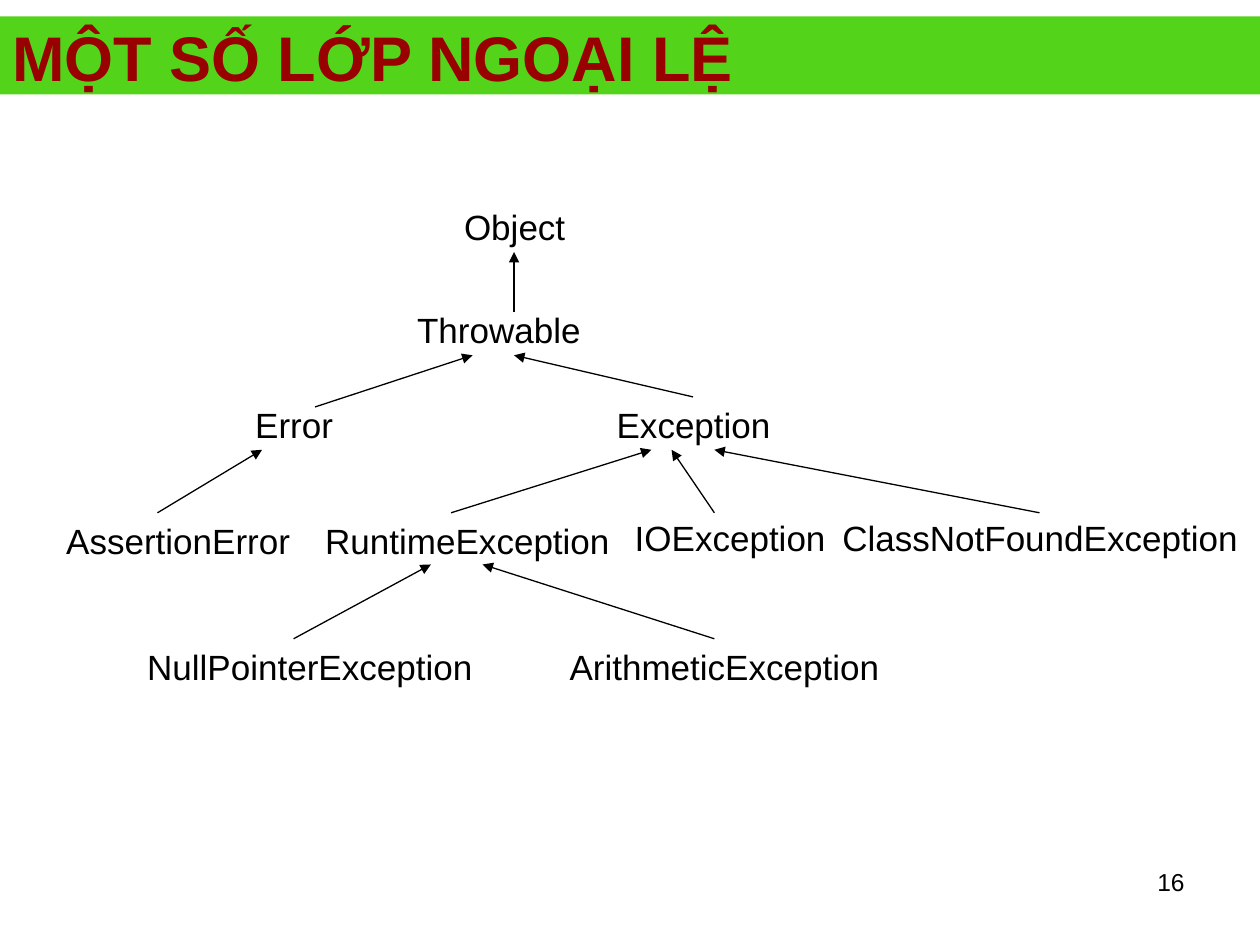
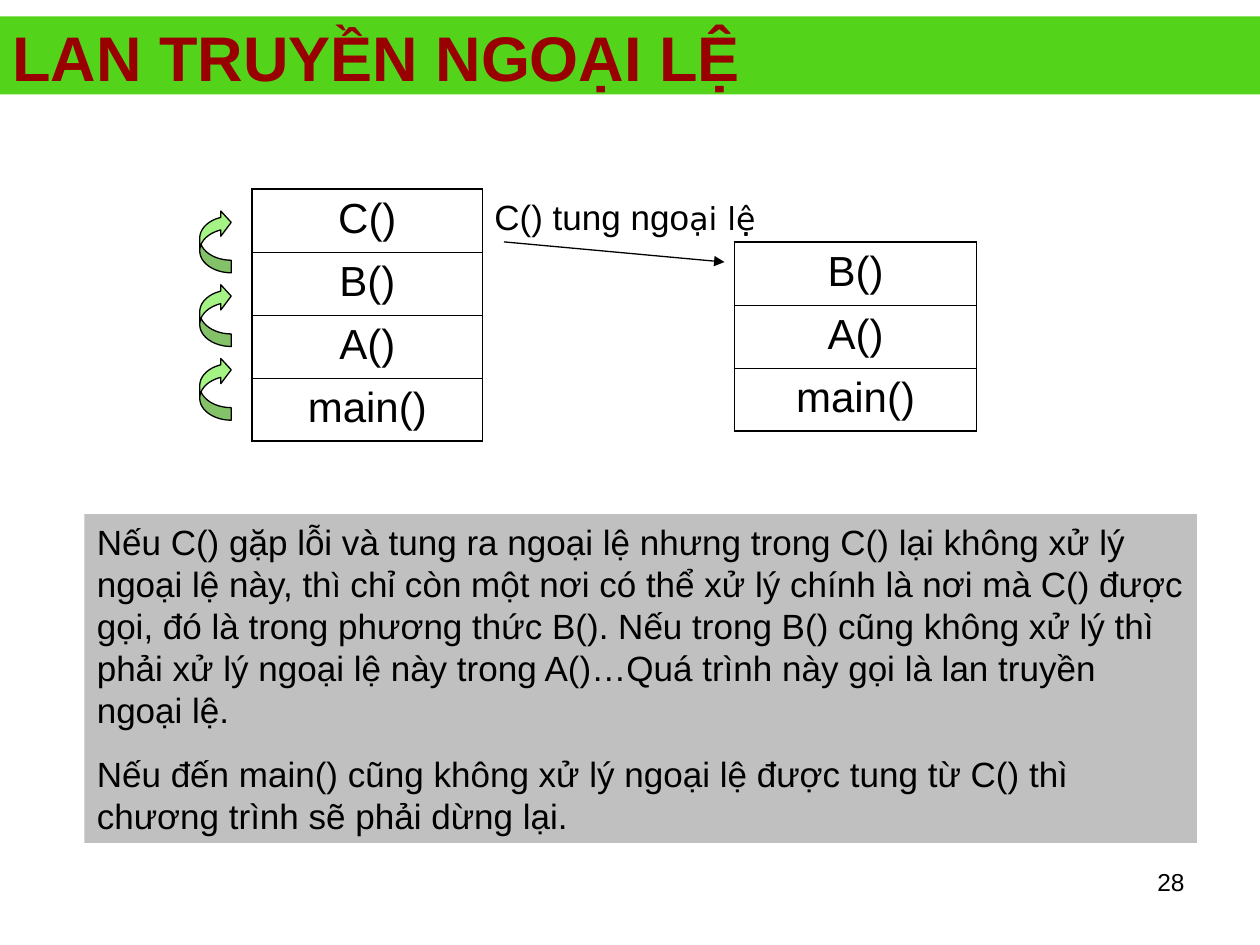
import pptx
import pptx.dml.color
import pptx.enum.shapes
import pptx.enum.text
import pptx.oxml.ns
import pptx.util
from lxml import etree
from pptx.util import Inches

SHAPE = pptx.enum.shapes.MSO_SHAPE
ALIGN = pptx.enum.text.PP_ALIGN
ANCHOR = pptx.enum.text.MSO_ANCHOR
qn = pptx.oxml.ns.qn

BLACK, GREEN, RED, GRAY, LIME = "000000", "53D41B", "990000", "C0C0C0", "A5F384"
FONT, ALT_FONT = "Arial", "DejaVu Sans"


def color(hex_text):
    return pptx.dml.color.RGBColor.from_string(hex_text)


def write(tf, *paragraphs, size=20, fill=BLACK, bold=False, align=ALIGN.LEFT,
          before=0.0, anchor=ANCHOR.TOP):
    """Each paragraph is a list of runs; a tuple marks a run in the alternate font."""
    tf.word_wrap = True
    tf.vertical_anchor = anchor
    for i, runs in enumerate(paragraphs):
        p = tf.paragraphs[0] if i == 0 else tf.add_paragraph()
        p.alignment = align
        p.space_before = pptx.util.Pt(before)
        for run in runs:
            alternate = isinstance(run, tuple)
            r = p.add_run()
            r.text = run[0] if alternate else run
            r.font.name = ALT_FONT if alternate else FONT
            r.font.size = pptx.util.Pt(18 if alternate else size)
            r.font.bold = bold
            r.font.color.rgb = color(fill)


class Deck:
    def __init__(self):
        self.prs = pptx.Presentation()
        self.prs.slide_width, self.prs.slide_height = Inches(10), Inches(7.5)
        self.s = None

    def new_slide(self, number):
        self.s = self.prs.slides.add_slide(self.prs.slide_layouts[6])
        self.text(7.17, 6.83, 2.33, 0.52, [str(number)], size=14, align=ALIGN.RIGHT)

    def title(self, title):
        self.shape(SHAPE.RECTANGLE, 0, 0.13, 10, 0.62, GREEN)
        self.text(0, 0.24, 10, 0.42, [title], size=36, fill=RED, bold=True,
                  anchor=ANCHOR.MIDDLE)

    def text(self, x, y, w, h, *paragraphs, **style):
        sp = self.s.shapes.add_textbox(Inches(x), Inches(y), Inches(w), Inches(h))
        write(sp.text_frame, *paragraphs, **style)

    def label(self, x, y, w, *runs, before=12.5):
        self.text(x, y, w, 0.44, runs, align=ALIGN.CENTER, before=before)

    def shape(self, kind, x, y, w, h, fill, line=None):
        sp = self.s.shapes.add_shape(kind, Inches(x), Inches(y), Inches(w), Inches(h))
        sp.shadow.inherit = False
        sp.fill.solid()
        sp.fill.fore_color.rgb = color(fill)
        if line:
            sp.line.color.rgb = color(line)
            sp.line.width = pptx.util.Pt(0.75)
        else:
            sp.line.fill.background()
        return sp

    def arrow(self, x1, y1, x2, y2):
        sp = self.s.shapes.add_connector(
            pptx.enum.shapes.MSO_CONNECTOR.STRAIGHT,
            Inches(x1), Inches(y1), Inches(x2), Inches(y2))
        sp.line.color.rgb = color(BLACK)
        sp.line.width = pptx.util.Pt(0.75)
        etree.SubElement(sp.line._get_or_add_ln(), qn("a:tailEnd"), type="triangle")
        etree.SubElement(sp._element.spPr, qn("a:effectLst"))

    def stack(self, x, y, w, calls, row_height=0.5):
        """Draw a call stack as a one-column table."""
        table = self.s.shapes.add_table(
            len(calls), 1, Inches(x), Inches(y), Inches(w),
            Inches(row_height * len(calls))).table
        table.first_row = table.horz_banding = False
        for i, call in enumerate(calls):
            cell = table.cell(i, 0)
            write(cell.text_frame, [call], size=24, align=ALIGN.CENTER, before=6)
            top = 1.08 if i == 0 else 0.45
            bottom = 1.08 if i == len(calls) - 1 else 0.45
            self.borders(cell, L=1.08, R=1.08, T=top, B=bottom)
            cell.fill.background()

    def borders(self, cell, **widths):
        tc_pr = cell._tc.get_or_add_tcPr()
        for side, width in widths.items():
            ln = etree.SubElement(tc_pr, qn("a:ln" + side), w=str(pptx.util.Pt(width)))
            fill = etree.SubElement(ln, qn("a:solidFill"))
            etree.SubElement(fill, qn("a:srgbClr"), val=BLACK)


def exception_classes(deck):
    deck.new_slide(16)

    # Class names: left, top, width
    for name, x, y, w in [
        ("ClassNotFoundException", 6.42, 4.05, 3.67),
        ("Throwable", 3.17, 2.4, 1.58),
        ("Error", 1.67, 3.15, 1.33),
        ("Exception", 4.67, 3.15, 1.67),
        ("RuntimeException", 2.42, 4.07, 2.58),
        ("AssertionError", 0.33, 4.07, 2.17),
        ("IOException", 4.92, 4.05, 1.75),
        ("Object", 3.42, 1.58, 1.33),
        ("NullPointerException", 1, 5.07, 2.92),
        ("ArithmeticException", 4.25, 5.07, 3),
    ]:
        deck.label(x, y, w, name)

    # Inheritance arrows, from subclass to superclass
    for ends in [
        (4.08, 2.48, 4.08, 2),
        (2.5, 3.23, 3.75, 2.82),
        (5.5, 3.15, 4.08, 2.82),
        (1.25, 4.07, 2.08, 3.57),
        (3.58, 4.07, 5.17, 3.57),
        (5.67, 4.07, 5.33, 3.57),
        (8.25, 4.07, 5.67, 3.57),
        (2.33, 5.07, 3.42, 4.48),
        (5.67, 5.07, 3.83, 4.48),
    ]:
        deck.arrow(*ends)

    deck.title("MỘT SỐ LỚP NGOẠI LỆ")


def exception_propagation(deck):
    deck.new_slide(28)
    calls = ["C()", "B()", "A()", "main()"]

    # Call stack with one curved arrow per call
    deck.stack(2, 1.5, 1.83, calls)
    for i in reversed(range(3)):
        sp = deck.shape(SHAPE.CURVED_DOWN_ARROW, 1.46, 1.79 + i * 0.585, 0.5, 0.25,
                        LIME, line=BLACK)
        sp.rotation = 270
        for k, value in enumerate((0.4, 0.8, 0.33)):
            sp.adjustments[k] = value

    # Stack after C() throws
    deck.stack(5.83, 1.92, 1.92, calls[1:])
    deck.arrow(4, 1.92, 5.75, 2.08)
    deck.label(3.75, 1.5, 2.42, "C() tung ngo", ("ại lệ",), before=11.2)

    # Explanation
    box = deck.shape(SHAPE.RECTANGLE, 0.67, 4.08, 8.83, 2.61, GRAY)
    write(
        box.text_frame,
        ["Nếu C() gặp lỗi và tung ra ngoại lệ nhưng trong C() lại không xử lý "
         "ngoại lệ này, th", ("ì",),
         " chỉ còn một nơi có thể xử lý chính là nơi mà C() được gọi, đó là trong "
         "phương thức B(). Nếu trong B() cũng không xử lý thì phải xử lý ngoại lệ "
         "này trong A()…Quá trình này gọi là lan truyền ngoại lệ."],
        ["Nếu đến main() cũng không xử lý ngoại lệ được tung từ C() thì chương "
         "trình sẽ phải dừng lại."],
        before=12.5)

    deck.title("LAN TRUYỀN NGOẠI LỆ")


def main():
    deck = Deck()
    exception_classes(deck)
    exception_propagation(deck)
    deck.prs.save("out.pptx")


if __name__ == "__main__":
    main()
